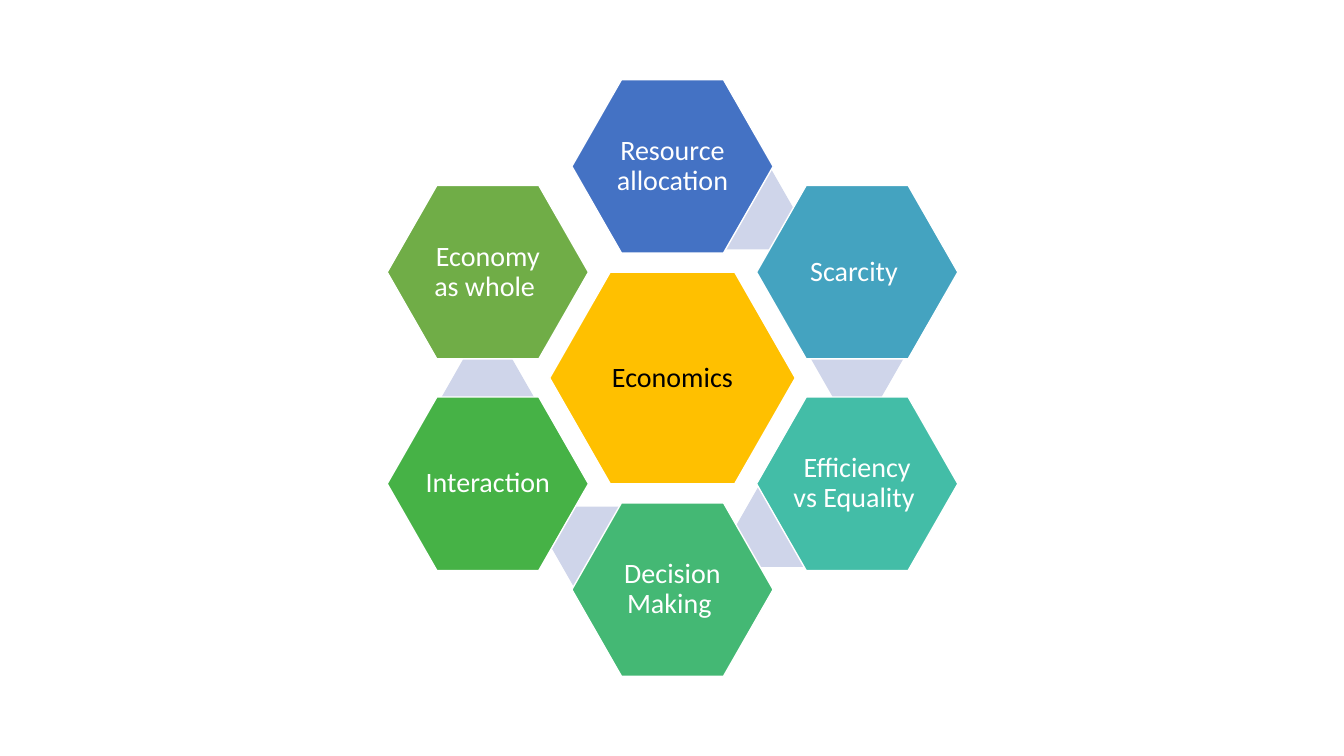
from dataclasses import dataclass
from pptx import Presentation
from pptx import util as u
from pptx.dml.color import RGBColor
from pptx.enum import shapes, text


@dataclass(frozen=True)
class Theme:
    font: str = "Calibri"
    size: int = 20
    white: str = "FFFFFF"
    black: str = "000000"
    hub: str = "FFC000"
    link: str = "CFD5EA"


LOOK = Theme()
CELLS = [
    ("Resource allocation", "4472C4", 0, -2),
    ("Scarcity ", "44A3C0", 1, -1),
    ("Efficiency vs Equality ", "43BDA7", 1, 1),
    ("Decision Making ", "44B874", 0, 2),
    ("Interaction ", "46B246", -1, 1),
    ("Economy as whole ", "70AD47", -1, -1),
]
CELL = (1.09, 1.64)
HUB = (1.33, 2)
LINK = (0.5, 0.75)
SHIFT = 0.41


def rgb(code):
    return RGBColor.from_string(code)


def write(shape, words, color=LOOK.white, size=LOOK.size, font=LOOK.font):
    frame = shape.text_frame
    frame.word_wrap = True
    frame.vertical_anchor = text.MSO_ANCHOR.MIDDLE
    frame.margin_left = frame.margin_right = u.Inches(0.03)
    frame.margin_top = frame.margin_bottom = u.Inches(0.03)
    line = frame.paragraphs[0]
    line.alignment = text.PP_ALIGN.CENTER
    line.line_spacing = 0.9
    run = line.add_run()
    run.text = words
    run.font.name = font
    run.font.size = u.Pt(size)
    run.font.color.rgb = rgb(color)


def hexagon(slide, mid, size, fill, edge=None):
    (x, y), (w, h) = mid, size
    shape = slide.shapes.add_shape(
        shapes.MSO_SHAPE.HEXAGON,
        u.Inches(x - w / 2), u.Inches(y - h / 2), u.Inches(w), u.Inches(h))
    shape.adjustments[0] = 0.286
    shape.shadow.inherit = False
    shape.fill.solid()
    shape.fill.fore_color.rgb = rgb(fill)
    if edge:
        shape.line.color.rgb = rgb(edge)
        shape.line.width = u.Pt(1)
    else:
        shape.line.fill.background()
    return shape


def ring(slide, left, top, width, height):
    col = width / (2 + CELL[0])
    row = height / (4 + CELL[1])

    def spot(c, r):
        return left + width / 2 + c * col, top + height / 2 + r * row

    def span(size):
        return size[0] * col, size[1] * row

    hub = hexagon(slide, spot(0, 0), span(HUB), LOOK.hub, LOOK.white)
    write(hub, "Economics", color=LOOK.black)
    for (_, _, c, r), (_, _, c2, r2) in zip(CELLS, CELLS[1:]):
        mid = spot(c + SHIFT * (c2 - c), r + SHIFT * (r2 - r))
        hexagon(slide, mid, span(LINK), LOOK.link)
    for words, fill, c, r in CELLS:
        write(hexagon(slide, spot(c, r), span(CELL), fill, LOOK.white), words)


def main():
    deck = Presentation()
    deck.slide_width = u.Inches(13.33)
    deck.slide_height = u.Inches(7.5)
    slide = deck.slides.add_slide(deck.slide_layouts[6])
    ring(slide, 3.84, 0.79, 5.66, 5.92)
    deck.save("out.pptx")


if __name__ == "__main__":
    main()
